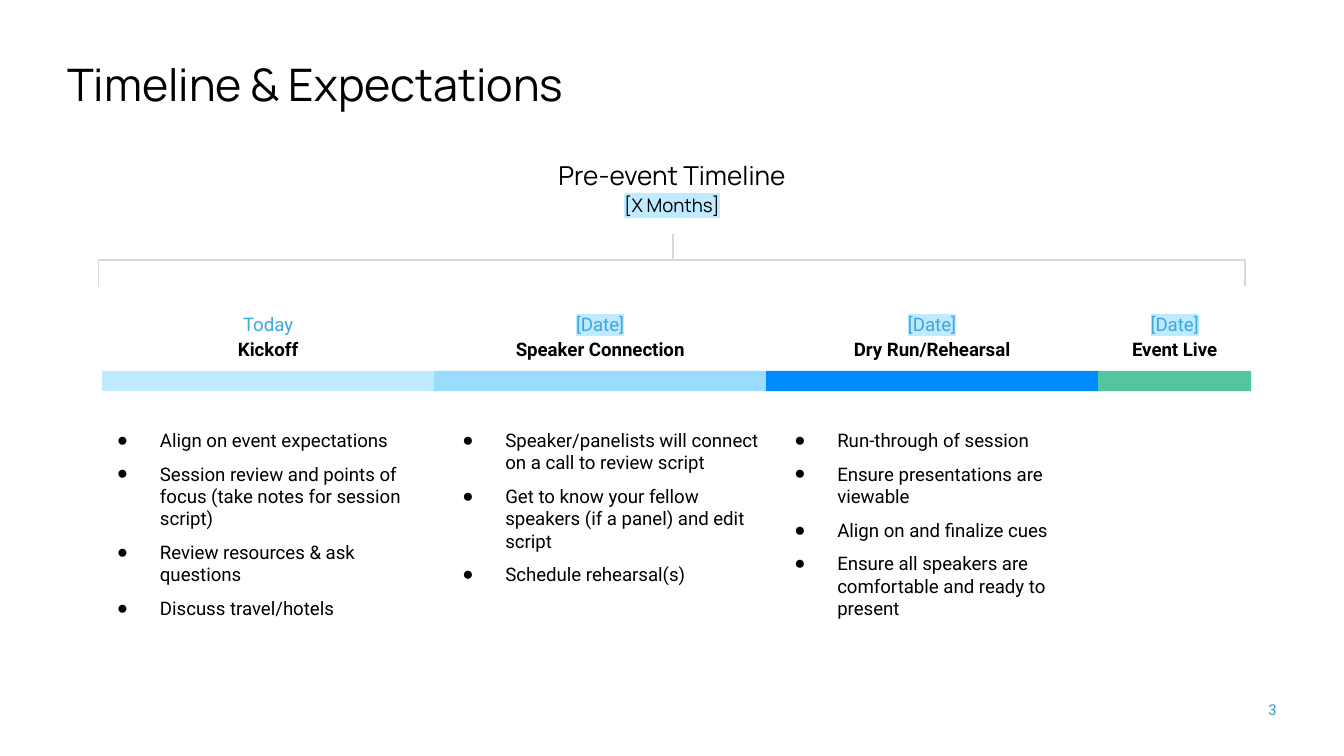
from lxml import etree
from pptx import Presentation
from pptx import util as u
from pptx.dml.color import RGBColor
from pptx.enum import shapes, text
from pptx.oxml.ns import qn

BLACK = RGBColor(0x00, 0x00, 0x00)
DATE_BLUE = RGBColor(0x39, 0xA8, 0xE0)
NUMBER_BLUE = RGBColor(0x33, 0x99, 0xCC)
PALE_BLUE = RGBColor(0xBF, 0xEA, 0xFF)
SKY_BLUE = RGBColor(0x1A, 0xB0, 0xFC)
BRIGHT_BLUE = RGBColor(0x00, 0x8C, 0xFF)
GREEN = RGBColor(0x53, 0xC6, 0xA1)
GREY = RGBColor(0xD9, 0xD9, 0xD9)

HEADING_FONT = "Manrope"
BODY_FONT = "Roboto"
BULLET_FONT = "Arial"
CENTER = text.PP_ALIGN.CENTER

SLIDE_WIDTH = 10
SLIDE_HEIGHT = SLIDE_WIDTH * 9 / 16
TIMELINE_LEFT = 0.76
STAGES = [
    ("Today", "Kickoff", 2.47, PALE_BLUE, None, 0.69, [
        "Align on event expectations",
        "Session review and points of focus (take notes for session script)",
        "Review resources & ask questions",
        "Discuss travel/hotels",
    ]),
    ("[Date]", "Speaker Connection", 2.47, SKY_BLUE, 44, 3.26, [
        "Speaker/panelists will connect on a call to review script",
        "Get to know your fellow speakers (if a panel) and edit script",
        "Schedule rehearsal(s)",
    ]),
    ("[Date]", "Dry Run/Rehearsal", 2.47, BRIGHT_BLUE, None, 5.73, [
        "Run-through of session",
        "Ensure presentations are viewable",
        "Align on and finalize cues",
        "Ensure all speakers are comfortable and ready to present",
    ]),
    ("[Date]", "Event Live", 1.14, GREEN, None, None, []),
]


def add_text_frame(slide, left, top, width, height, inset_x=0.0, inset_y=0.0):
    box = slide.shapes.add_textbox(*map(u.Inches, (left, top, width, height)))
    frame = box.text_frame
    frame.word_wrap = True
    frame.margin_left = frame.margin_right = u.Inches(inset_x)
    frame.margin_top = frame.margin_bottom = u.Inches(inset_y)
    return frame


def add_run(paragraph, wording, size, color=BLACK, font=BODY_FONT, bold=False, highlight=None):
    run = paragraph.add_run()
    run.text = wording
    run.font.size = u.Pt(size)
    run.font.name = font
    run.font.bold = bold
    run.font.color.rgb = color
    if highlight is not None:
        mark = etree.Element(qn("a:highlight"))
        etree.SubElement(mark, qn("a:srgbClr"), val=str(highlight))
        run.font._element.find(qn("a:solidFill")).addnext(mark)


def add_title(slide, wording):
    frame = add_text_frame(slide, 0.5, 0.5, 4.69, 0.32)
    frame.auto_size = text.MSO_AUTO_SIZE.SHAPE_TO_FIT_TEXT
    heading = frame.paragraphs[0]
    heading.line_spacing = 0.8
    add_run(heading, wording, 24, font=HEADING_FONT)


def add_period(slide, name, duration):
    period = add_text_frame(slide, 3.82, 1.05, 2.36, 0.59, 0.1, 0.1).paragraphs[0]
    period.alignment = CENTER
    period.line_spacing = 1.15
    add_run(period, name, 14, font=HEADING_FONT)
    period.add_line_break()
    add_run(period, duration, 10, font=HEADING_FONT, highlight=PALE_BLUE)


def add_brace(slide):
    brace = slide.shapes.add_shape(
        shapes.MSO_SHAPE.RIGHT_BRACE, *map(u.Inches, (4.81, -2.33, 0.38, 8.53)))
    brace.shadow.inherit = False
    brace.adjustments[0] = 0
    brace.adjustments[1] = 0.499
    brace.rotation = 90
    brace._element.spPr.find(qn("a:xfrm")).set("flipH", "1")
    brace.fill.background()
    brace.line.color.rgb = GREY
    brace.line.width = u.Pt(0.75)


def add_bar(slide, left, width, color, opacity):
    bar = slide.shapes.add_shape(
        shapes.MSO_SHAPE.RECTANGLE, *map(u.Inches, (left, 2.76, width, 0.15)))
    bar.shadow.inherit = False
    bar.fill.solid()
    bar.fill.fore_color.rgb = color
    bar.line.fill.background()
    if opacity is not None:
        tint = bar._element.spPr.find(qn("a:solidFill")).find(qn("a:srgbClr"))
        etree.SubElement(tint, qn("a:alpha"), val=str(opacity * 1000))


def add_stage_label(slide, left, width, date, name):
    frame = add_text_frame(slide, left, 2.2, width, 0.33, 0.1, 0.1)
    date_line, name_line = frame.paragraphs[0], frame.add_paragraph()
    for line in (date_line, name_line):
        line.alignment = CENTER
        line.line_spacing = 1.15
    highlight = PALE_BLUE if date.startswith("[") else None
    add_run(date_line, date, 10, DATE_BLUE, highlight=highlight)
    add_run(name_line, name, 10, bold=True)


def add_bullet(paragraph):
    props = paragraph._p.get_or_add_pPr()
    props.set("marL", str(u.Inches(0.5)))
    props.set("indent", str(u.Inches(-0.32)))
    color = etree.SubElement(props, qn("a:buClr"))
    etree.SubElement(color, qn("a:srgbClr"), val=str(BLACK))
    etree.SubElement(props, qn("a:buFont"), typeface=BULLET_FONT)
    etree.SubElement(props, qn("a:buChar"), char="●")


def add_tasks(slide, left, tasks):
    frame = add_text_frame(slide, left, 3.09, 2.41, 1.76, inset_y=0.1)
    for index, task in enumerate(tasks):
        item = frame.add_paragraph() if index else frame.paragraphs[0]
        item.space_before = u.Pt(6 if index else 0)
        item.space_after = u.Pt(6 if index == len(tasks) - 1 else 0)
        add_bullet(item)
        add_run(item, task, 10)


def add_page_number(slide, number):
    page = add_text_frame(slide, 9.29, 5.21, 0.21, 0.12).paragraphs[0]
    page.alignment = text.PP_ALIGN.RIGHT
    add_run(page, number, 8, NUMBER_BLUE)


def main():
    deck = Presentation()
    deck.slide_width = u.Inches(SLIDE_WIDTH)
    deck.slide_height = u.Inches(SLIDE_HEIGHT)
    slide = deck.slides.add_slide(deck.slide_layouts[6])

    add_title(slide, "Timeline & Expectations")
    add_period(slide, "Pre-event Timeline", "[X Months]")
    add_brace(slide)
    left = TIMELINE_LEFT
    for date, name, width, color, opacity, tasks_left, tasks in STAGES:
        add_bar(slide, left, width, color, opacity)
        add_stage_label(slide, left, width, date, name)
        if tasks:
            add_tasks(slide, tasks_left, tasks)
        left += width
    add_page_number(slide, "3")
    deck.save("out.pptx")


if __name__ == "__main__":
    main()
